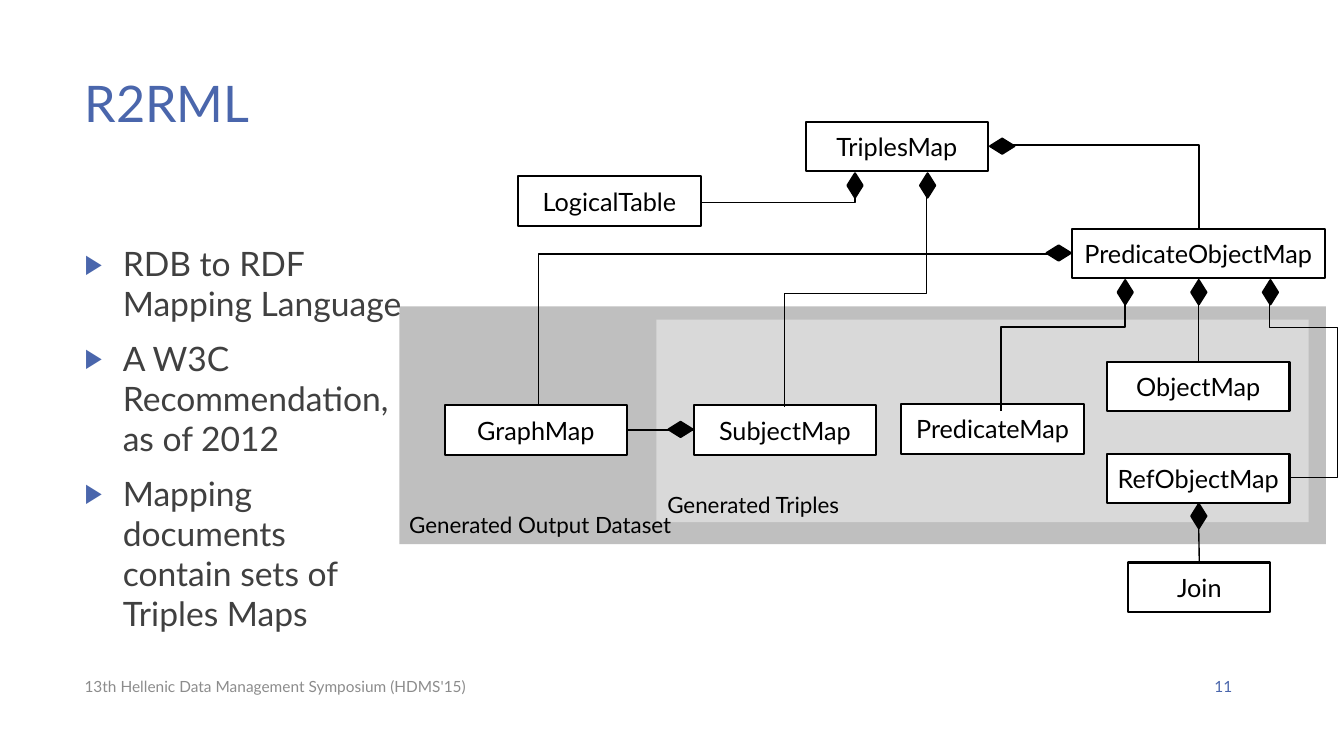
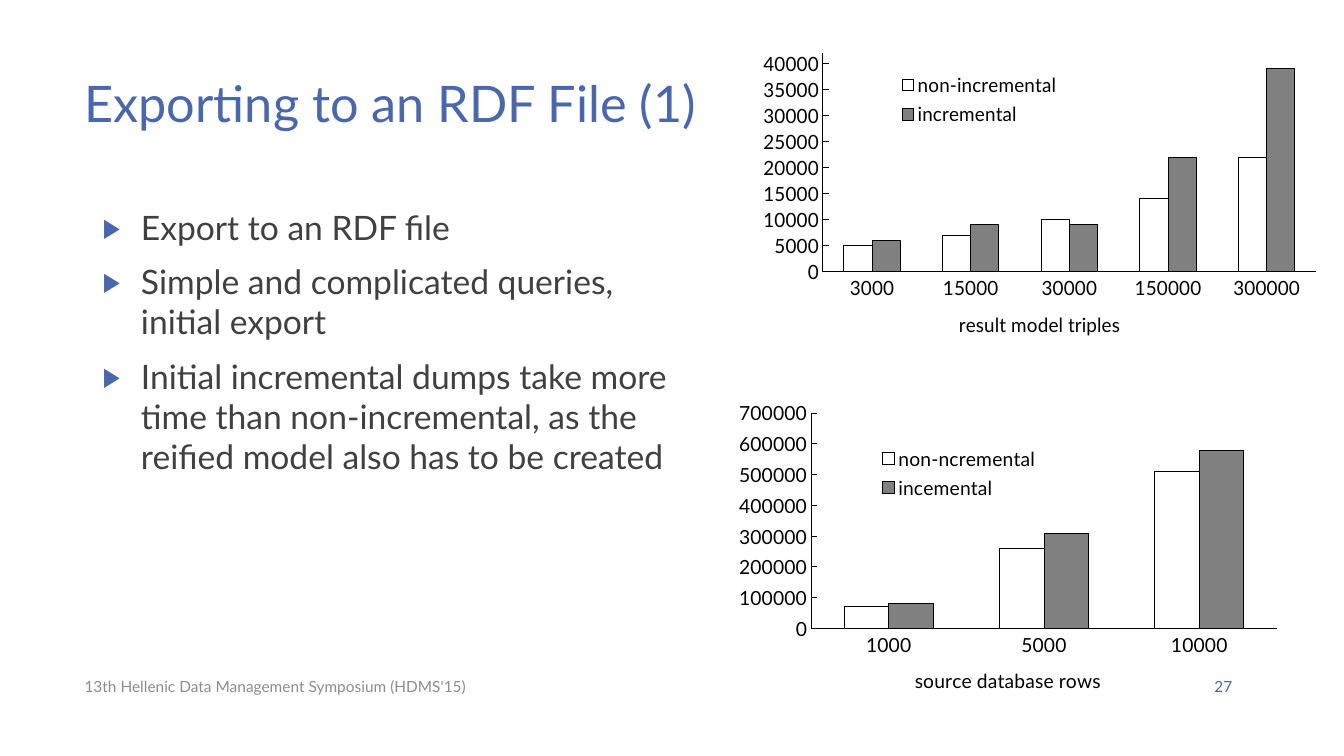
"""Build two slides: the R2RML class diagram and the RDF export charts."""
from dataclasses import dataclass
from typing import Any, NamedTuple

from lxml.etree import SubElement
from pptx import Presentation
from pptx.chart.data import CategoryChartData
from pptx.dml.color import RGBColor
from pptx.enum.chart import XL_CHART_TYPE, XL_LEGEND_POSITION, XL_TICK_MARK
from pptx.enum.shapes import MSO_CONNECTOR, MSO_SHAPE
from pptx.enum.text import MSO_ANCHOR, PP_ALIGN
from pptx.oxml.ns import qn
from pptx.util import Inches, Pt


@dataclass(frozen=True)
class Theme:
    font: str = "Lato"
    accent: str = "4A66AC"
    body: str = "404040"
    muted: str = "8C8C8C"
    black: str = "000000"
    white: str = "FFFFFF"
    dataset: str = "BFBFBF"
    triples: str = "D9D9D9"
    bar: str = "808080"
    title_size: int = 36
    body_size: int = 24
    box_size: int = 18
    label_size: int = 16
    chart_size: int = 14
    footer_size: int = 11
    box_line: float = 1.5
    connector_line: float = 1
    chart_line: float = 0.75


THEME = Theme()
FOOTER = "13th Hellenic Data Management Symposium (HDMS'15)"


class Area(NamedTuple):
    left: float
    top: float
    width: float
    height: float

    def lengths(self) -> list[Inches]:
        return [Inches(value) for value in self]


class Point(NamedTuple):
    x: float
    y: float


class Box(NamedTuple):
    text: str
    left: float
    top: float
    width: float = 1.81
    height: float = 0.49


class Elbow(NamedTuple):
    start: Point
    end: Point
    preset: str
    vertical_first: bool = True
    adjustments: tuple[float, ...] = ()


class Diamond(NamedTuple):
    x: float
    y: float
    rotation: int = 0


@dataclass(frozen=True)
class BarChart:
    area: Area
    axis_title: str
    categories: tuple[str, ...]
    series: dict[str, tuple[int, ...]]
    maximum: int
    step: int
    plot: Area
    legend: Area


BOXES = (
    Box("TriplesMap", 7.99, 1.21),
    Box("LogicalTable", 5.14, 1.75),
    Box("PredicateObjectMap", 10.63, 2.27, 2.51),
    Box("GraphMap", 4.41, 4.02),
    Box("SubjectMap", 6.88, 4.02),
    Box("PredicateMap", 8.94, 4.01),
    Box("ObjectMap", 10.98, 3.59),
    Box("RefObjectMap", 10.98, 4.5),
    Box("Join", 11.19, 5.58, 1.41),
)
STRAIGHT_LINKS = (
    ("Join", 0, "RefObjectMap", 2),
    ("ObjectMap", 0, "PredicateObjectMap", 2),
    ("GraphMap", 3, "SubjectMap", 1),
)
ELBOWS = (
    Elbow(Point(12.8, 4.74), Point(12.59, 2.83), "bentConnector4", False, (-2.22, 0.78)),
    Elbow(Point(9.93, 4.08), Point(11.16, 2.83), "bentConnector3", True, (0.67,)),
    Elbow(Point(5.34, 4.02), Point(10.56, 2.52), "bentConnector2"),
    Elbow(Point(7.78, 4.04), Point(9.19, 1.78), "bentConnector3", True, (0.5,)),
    Elbow(Point(6.95, 2.01), Point(8.48, 1.78), "bentConnector3", False, (1,)),
    Elbow(Point(11.89, 2.27), Point(9.88, 1.44), "bentConnector2"),
)
DIAMONDS = (
    Diamond(8.48, 1.84), Diamond(9.2, 1.84),
    Diamond(11.16, 2.9), Diamond(11.89, 2.9), Diamond(12.6, 2.9),
    Diamond(11.89, 5.12),
    Diamond(10.5, 2.51, 90), Diamond(9.94, 1.45, 90), Diamond(6.75, 4.26, 90),
)
CHARTS = (
    BarChart(
        Area(7.33, 3.98, 5.51, 3.13), "source database rows", ("1000", "5000", "10000"),
        {"non-ncremental": (70000, 260000, 510000), "incemental": (80000, 310000, 580000)},
        700000, 100000, Area(0.114, 0.028, 0.854, 0.69), Area(0.23, 0.12, 0.31, 0.2),
    ),
    BarChart(
        Area(7.57, 0.42, 5.51, 3.15), "result model triples",
        ("3000", "15000", "30000", "150000", "300000"),
        {"non-incremental": (5000, 7000, 10000, 14000, 22000),
         "incremental": (6000, 9000, 9000, 22000, 39000)},
        42000, 5000, Area(0.072, 0.033, 0.923, 0.69), Area(0.21, 0.08, 0.31, 0.2),
    ),
)


def apply_format(target: Any, values: dict[str, Any]) -> None:
    for name, value in values.items():
        setattr(target, name, value)


def style_font(font: Any, size: int, color: str) -> None:
    apply_format(font, {"name": THEME.font, "size": Pt(size), "bold": False})
    font.color.rgb = RGBColor.from_string(color)


def style_fill(fill: Any, color: str) -> None:
    fill.solid()
    fill.fore_color.rgb = RGBColor.from_string(color)


def style_line(line: Any, width: float) -> None:
    style_fill(line.fill, THEME.black)
    line.width = Pt(width)


def add_text(slide: Any, area: Area, lines: tuple[str, ...], size: int, color: str,
             anchor: MSO_ANCHOR = MSO_ANCHOR.TOP, alignment: PP_ALIGN = PP_ALIGN.LEFT) -> Any:
    frame = slide.shapes.add_textbox(*area.lengths()).text_frame
    apply_format(frame, {"word_wrap": True, "vertical_anchor": anchor, "text": "\n".join(lines)})
    for paragraph in frame.paragraphs:
        paragraph.alignment = alignment
        style_font(paragraph.runs[0].font, size, color)
    return frame


def add_bullets(slide: Any, area: Area, lines: tuple[str, ...]) -> None:
    frame = add_text(slide, area, lines, THEME.body_size, THEME.body)
    for paragraph in frame.paragraphs:
        paragraph.space_before = Pt(10)
        properties = paragraph._p.get_or_add_pPr()
        properties.set("marL", str(Inches(0.38)))
        properties.set("indent", str(-Inches(0.38)))
        color = SubElement(properties, qn("a:buClr"))
        SubElement(color, qn("a:srgbClr"), val=THEME.accent)
        SubElement(properties, qn("a:buSzPct"), val="80000")
        SubElement(properties, qn("a:buFont"), typeface=THEME.font)
        SubElement(properties, qn("a:buChar"), char="▶")


def add_frame(presentation: Any, title: str, number: int) -> Any:
    slide = presentation.slides.add_slide(presentation.slide_layouts[6])
    add_text(slide, Area(0.74, 0.67, 11.58, 1.44), (title,), THEME.title_size, THEME.accent)
    add_text(slide, Area(0.74, 6.61, 5.49, 0.4), (FOOTER,), THEME.footer_size, THEME.muted,
             MSO_ANCHOR.MIDDLE)
    add_text(slide, Area(11.03, 6.61, 1.29, 0.4), (str(number),), THEME.footer_size,
             THEME.accent, MSO_ANCHOR.MIDDLE, PP_ALIGN.RIGHT)
    return slide


def add_shape(slide: Any, preset: MSO_SHAPE, area: Area, fill: str, line_width: float = 0) -> Any:
    shape = slide.shapes.add_shape(preset, *area.lengths())
    shape.shadow.inherit = False
    style_fill(shape.fill, fill)
    if line_width:
        style_line(shape.line, line_width)
    else:
        shape.line.fill.background()
    return shape


def add_box(slide: Any, box: Box) -> Any:
    shape = add_shape(slide, MSO_SHAPE.RECTANGLE, Area(*box[1:]), THEME.white, THEME.box_line)
    frame = shape.text_frame
    apply_format(frame, {"text": box.text, "word_wrap": False,
                         "vertical_anchor": MSO_ANCHOR.MIDDLE})
    paragraph = frame.paragraphs[0]
    paragraph.alignment = PP_ALIGN.CENTER
    style_font(paragraph.runs[0].font, THEME.box_size, THEME.black)
    return shape


def add_link(slide: Any, kind: MSO_CONNECTOR, start: Point, end: Point) -> Any:
    ends = [Inches(value) for value in (*start, *end)]
    connector = slide.shapes.add_connector(kind, *ends)
    style_line(connector.line, THEME.connector_line)
    SubElement(connector._element.spPr, qn("a:effectLst"))
    return connector


def add_elbow(slide: Any, elbow: Elbow) -> None:
    start, end = elbow.start, elbow.end
    rightward = end.x > start.x
    if elbow.vertical_first:
        middle = Point((start.x + end.x) / 2, (start.y + end.y) / 2)
        half_width = (start.y - end.y) / 2 * (1 if rightward else -1)
        half_height = abs(end.x - start.x) / 2
        start = Point(middle.x + half_width, middle.y + half_height)
        end = Point(middle.x - half_width, middle.y - half_height)
    connector = add_link(slide, MSO_CONNECTOR.ELBOW, start, end)
    properties = connector._element.spPr
    if elbow.vertical_first:
        properties.find(qn("a:xfrm")).set("rot", str((90 if rightward else 270) * 60000))
    geometry = properties.find(qn("a:prstGeom"))
    geometry.set("prst", elbow.preset)
    guides = geometry.find(qn("a:avLst"))
    for index, value in enumerate(elbow.adjustments, 1):
        SubElement(guides, qn("a:gd"), name=f"adj{index}", fmla=f"val {round(value * 100000)}")


def set_layout(parent: Any, area: Area, position: int, inner: bool = False) -> None:
    for existing in parent.findall(qn("c:layout")):
        parent.remove(existing)
    layout = SubElement(parent, qn("c:layout"))
    parent.insert(position, layout)
    manual = SubElement(layout, qn("c:manualLayout"))
    if inner:
        SubElement(manual, qn("c:layoutTarget"), val="inner")
    for name in ("xMode", "yMode"):
        SubElement(manual, qn(f"c:{name}"), val="edge")
    for name, value in zip("xywh", area):
        SubElement(manual, qn(f"c:{name}"), val=str(value))


def add_bar_chart(slide: Any, content: BarChart) -> None:
    data = CategoryChartData()
    data.categories = content.categories
    for name, values in content.series.items():
        data.add_series(name, values)
    chart = slide.shapes.add_chart(XL_CHART_TYPE.COLUMN_CLUSTERED, *content.area.lengths(),
                                   data).chart
    apply_format(chart, {"has_title": False, "has_legend": True})
    style_font(chart.font, THEME.chart_size, THEME.black)
    apply_format(chart.legend, {"position": XL_LEGEND_POSITION.RIGHT, "include_in_layout": False})
    apply_format(chart.plots[0], {"gap_width": 150, "overlap": 0, "vary_by_categories": False})
    for series, color in zip(chart.plots[0].series, (THEME.white, THEME.bar)):
        style_fill(series.format.fill, color)
        style_line(series.format.line, THEME.chart_line)
    apply_format(chart.category_axis, {"major_tick_mark": XL_TICK_MARK.NONE})
    apply_format(chart.value_axis, {
        "minimum_scale": 0, "maximum_scale": content.maximum, "major_unit": content.step,
        "major_tick_mark": XL_TICK_MARK.INSIDE})
    for axis in (chart.category_axis, chart.value_axis):
        apply_format(axis, {"has_major_gridlines": False, "minor_tick_mark": XL_TICK_MARK.NONE})
        style_line(axis.format.line, THEME.chart_line)
    title = chart.category_axis.axis_title.text_frame
    title.text = content.axis_title
    style_font(title.paragraphs[0].runs[0].font, THEME.chart_size, THEME.black)
    set_layout(chart._chartSpace.chart.plotArea, content.plot, 0, True)
    set_layout(chart.legend._element, content.legend, 1)


def build_diagram_slide(presentation: Any) -> None:
    slide = add_frame(presentation, "R2RML", 11)
    add_shape(slide, MSO_SHAPE.RECTANGLE, Area(3.96, 3.04, 9.19, 2.36), THEME.dataset)
    add_shape(slide, MSO_SHAPE.RECTANGLE, Area(6.51, 3.17, 6.47, 2.01), THEME.triples)
    add_bullets(slide, Area(0.74, 2.36, 3.34, 4.24), (
        "RDB to RDF Mapping Language", "A W3C Recommendation, as of 2012",
        "Mapping documents contain sets of Triples Maps"))
    for text, area in (("Generated Triples", Area(6.52, 4.82, 2.29, 0.37)),
                       ("Generated Output Dataset", Area(3.96, 5.02, 2.85, 0.37))):
        add_text(slide, area, (text,), THEME.label_size, THEME.black)
    boxes = {box.text: add_box(slide, box) for box in BOXES}
    for source, source_side, target, target_side in STRAIGHT_LINKS:
        connector = add_link(slide, MSO_CONNECTOR.STRAIGHT, Point(0, 0), Point(1, 1))
        connector.begin_connect(boxes[source], source_side)
        connector.end_connect(boxes[target], target_side)
    for elbow in ELBOWS:
        add_elbow(slide, elbow)
    for diamond in DIAMONDS:
        area = Area(diamond.x - 0.075, diamond.y - 0.12, 0.15, 0.24)
        shape = add_shape(slide, MSO_SHAPE.DIAMOND, area, THEME.black, THEME.box_line)
        shape.rotation = diamond.rotation


def build_chart_slide(presentation: Any) -> None:
    slide = add_frame(presentation, "Exporting to an RDF File (1)", 27)
    add_bullets(slide, Area(0.92, 2, 6.08, 4.76), (
        "Export to an RDF file", "Simple and complicated queries, initial export",
        "Initial incremental dumps take more time than non-incremental, "
        "as the reified model also has to be created"))
    for content in CHARTS:
        add_bar_chart(slide, content)


def main() -> None:
    presentation = Presentation()
    apply_format(presentation, {"slide_width": Inches(13.33), "slide_height": Inches(7.5)})
    build_diagram_slide(presentation)
    build_chart_slide(presentation)
    presentation.save("out.pptx")


if __name__ == "__main__":
    main()
